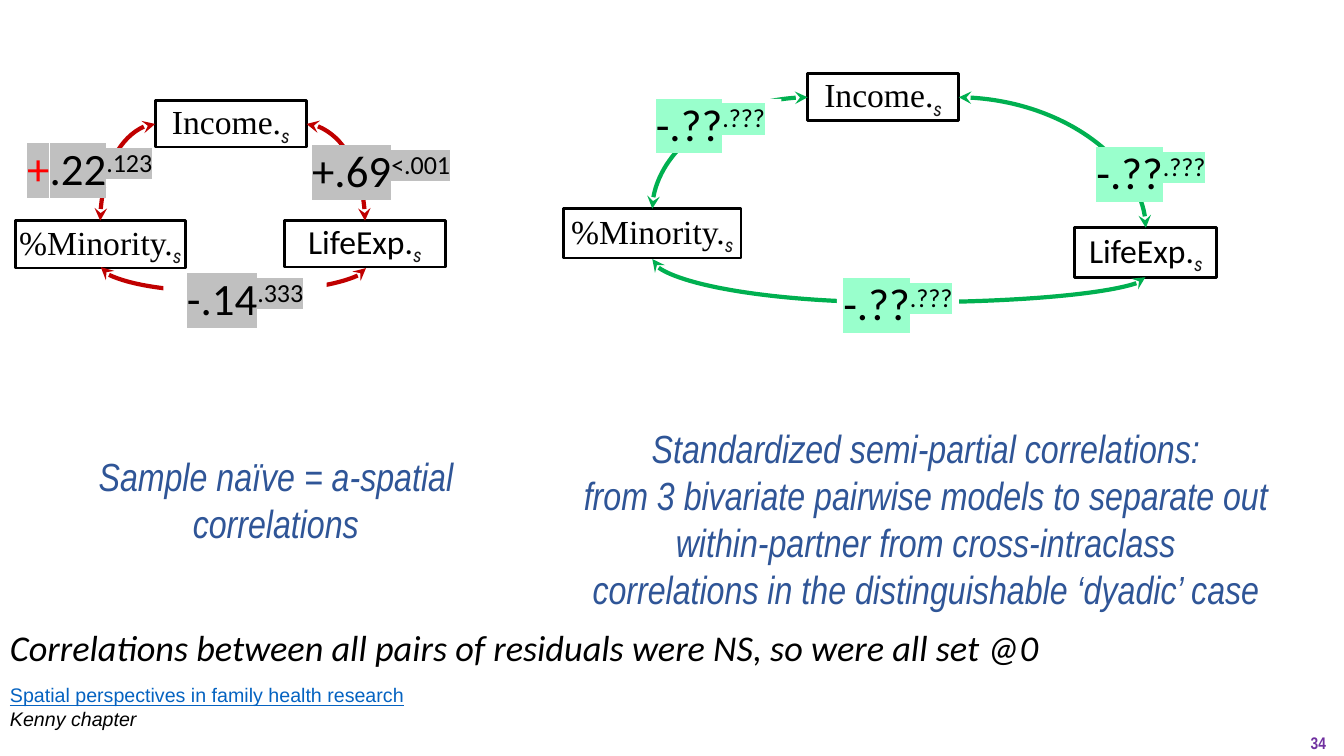
from dataclasses import dataclass

from pptx import Presentation
from pptx import util as u
from pptx.dml.color import RGBColor
from pptx.enum import shapes, text
from pptx.oxml import ns, xmlchemy


@dataclass(frozen=True)
class Theme:
    black: str = "000000"
    white: str = "FFFFFF"
    ink: str = "181717"
    red: str = "C00000"
    plus: str = "FF0000"
    green: str = "00B050"
    gray: str = "C0C0C0"
    mint: str = "99FFCC"
    blue: str = "2F5597"
    link: str = "0563C1"
    purple: str = "7030A0"
    serif: str = "Times New Roman"
    sans: str = "Calibri"
    narrow: str = "Arial Narrow"
    plain: str = "Arial"
    sub: str = "Roboto Condensed"
    node: float = 24
    value: float = 32
    caption: float = 28
    remark: float = 25.9
    source: float = 14
    page: float = 12


T = Theme()
CENTER, RIGHT = text.PP_ALIGN.CENTER, text.PP_ALIGN.RIGHT
LEFT_SIDE, RIGHT_SIDE, TOP_SIDE = 1, 3, 0


def rgb(color):
    return RGBColor.from_string(color)


def child(parent, tag, **attrs):
    node = xmlchemy.OxmlElement(tag)
    for key, value in attrs.items():
        node.set(key, value)
    parent.append(node)
    return node


def add_run(para, words, face, size, color, bold=False, italic=False,
            under=False, base=0, mark=None):
    """Add one run; base is the baseline shift in percent, mark the highlight."""
    run = para.add_run()
    run.text = words
    font = run.font
    font.name, font.size = face, u.Pt(size)
    font.bold, font.italic, font.underline = bold, italic, under
    font.color.rgb = rgb(color)
    props = run._r.get_or_add_rPr()
    if base:
        props.set("baseline", str(base * 1000))
    if mark:
        light = xmlchemy.OxmlElement("a:highlight")
        child(light, "a:srgbClr", val=mark)
        props.find(ns.qn("a:solidFill")).addnext(light)


def set_frame(shape, middle=False, wrap=True, inset=True):
    frame = shape.text_frame
    frame.word_wrap = wrap
    if middle:
        frame.vertical_anchor = text.MSO_ANCHOR.MIDDLE
    if not inset:
        frame.margin_left = frame.margin_right = 0
        frame.margin_top = frame.margin_bottom = 0
    return frame


def add_text(slide, at, lines, align=None, middle=False, inset=True):
    """Add a text box; each line is a (words, run format) pair."""
    box = slide.shapes.add_textbox(*map(u.Inches, at))
    frame = set_frame(box, middle, inset=inset)
    for i, (words, style) in enumerate(lines):
        para = frame.add_paragraph() if i else frame.paragraphs[0]
        para.alignment = align
        add_run(para, words, **style)
    return frame


def add_rect(slide, at, wrap):
    rect = slide.shapes.add_shape(shapes.MSO_SHAPE.RECTANGLE, *map(u.Inches, at))
    rect.shadow.inherit = False
    para = set_frame(rect, True, wrap, False).paragraphs[0]
    para.alignment = CENTER
    return rect, para


def add_node(slide, at, name, face):
    rect, para = add_rect(slide, at, False)
    rect.fill.background()
    rect.line.color.rgb = rgb(T.black)
    rect.line.width = u.Pt(2)
    add_run(para, name + ".", face, T.node, T.black)
    add_run(para, "s", T.sub, T.node, T.ink, italic=True, base=-25)
    return rect


def add_value(slide, at, value, power, mark):
    rect, para = add_rect(slide, at, True)
    rect.fill.solid()
    rect.fill.fore_color.rgb = rgb(T.white)
    rect.line.fill.background()
    if value[0] == "+" and power == ".123":
        add_run(para, "+", T.sans, T.value, T.plus, mark=mark)
        value = value[1:]
    add_run(para, value, T.sans, T.value, T.black, mark=mark)
    add_run(para, power, T.sans, T.value, T.black, base=30, mark=mark)


def add_curve(slide, start, end, color):
    curve = slide.shapes.add_connector(
        shapes.MSO_CONNECTOR.CURVE, *map(u.Inches, start + end))
    curve.line.color.rgb = rgb(color)
    curve.line.width = u.Pt(3)
    line = curve.line._get_or_add_ln()
    for tip in ("a:headEnd", "a:tailEnd"):
        child(line, tip, type="stealth")
    child(curve._element.spPr, "a:effectLst")
    return curve, curve._element.spPr.find(ns.qn("a:prstGeom"))


def add_arc(slide, top, side, low, color):
    """Quarter curve from a side of the top node to the top of a lower one."""
    curve, geom = add_curve(slide, (0, 0), (1, 1), color)
    geom.set("prst", "curvedConnector2")
    curve.begin_connect(top, side)
    curve.end_connect(low, TOP_SIDE)


def add_sag(slide, start, end, depth, color):
    """Curve hanging depth below its start; a rightward one must end lower."""
    (x1, y1), (x2, y2) = start, end
    wide, high = abs(y2 - y1), abs(x2 - x1)
    left, top = (x1 + x2 - wide) / 2, (y1 + y2 - high) / 2
    curve, geom = add_curve(
        slide, (left, top), (left + wide, top + high), color)
    right = x2 > x1
    frame = curve._element.spPr.find(ns.qn("a:xfrm"))
    frame.set("rot", str((270 if right else 90) * 60000))
    frame.set("flipH", "1")
    bend = round((depth if right else -depth) / wide * 100000)
    guides = geom.find(ns.qn("a:avLst"))
    child(guides, "a:gd", name="adj1", fmla=f"val {bend}")


def add_model(slide, places, sag, values, color, mark):
    """Draw three linked nodes (minority, income, life) and their values."""
    names = (("%Minority", T.serif), ("Income", T.serif), ("LifeExp", T.sans))
    minor, income, life = [
        add_node(slide, at, *name) for at, name in zip(places, names)]
    add_arc(slide, income, LEFT_SIDE, minor, color)
    add_arc(slide, income, RIGHT_SIDE, life, color)
    add_sag(slide, *sag, 0.25, color)
    for at, value, power in values:
        add_value(slide, at, value, power, mark)


def main():
    deck = Presentation()
    deck.slide_width, deck.slide_height = u.Inches(13.33), u.Inches(7.5)
    slide = deck.slides.add_slide(deck.slide_layouts[6])

    add_model(
        slide,
        [(0.15, 2.19, 1.69, 0.47), (1.54, 1, 1.5, 0.46), (2.82, 2.19, 1.6, 0.46)],
        [(1, 2.65), (3.63, 2.66)],
        [((2.97, 1.49, 1.62, 0.39), "+.69", "<.001"),
         ((0.08, 1.47, 1.62, 0.39), "+.22", ".123"),
         ((1.62, 2.76, 1.62, 0.39), "-.14", ".333")],
        T.red, T.gray)
    add_model(
        slide,
        [(5.59, 2.07, 1.76, 0.49), (8.01, 0.73, 1.5, 0.47),
         (10.66, 2.26, 1.41, 0.49)],
        [(11.36, 2.75), (6.47, 2.57)],
        [(at, "-.??", ".???") for at in (
            (10.71, 1.46, 1.41, 0.49), (8.3, 2.72, 1.21, 0.57),
            (6.34, 0.98, 1.41, 0.49))],
        T.green, T.mint)

    caption = dict(face=T.narrow, size=T.caption, color=T.blue, italic=True)
    add_text(slide, (0.83, 4.49, 3.81, 1.07),
             [("Sample naïve = a-spatial correlations", caption)],
             CENTER, inset=False)
    claims = (
        "Standardized semi-partial correlations:",
        "from 3 bivariate pairwise models to separate out "
        "within-partner from cross-intraclass",
        "correlations in the distinguishable ‘dyadic’ case")
    add_text(slide, (5.42, 4.21, 7.52, 2.14),
             [(claim, caption) for claim in claims], CENTER, inset=False)

    remark = dict(face=T.sans, size=T.remark, color=T.black, italic=True)
    frame = add_text(
        slide, (0, 6.24, 11.22, 0.48),
        [("Correlations between all pairs of residuals were NS, "
          "so were all set @0", remark)])
    frame.paragraphs[0].line_spacing = 0.8

    source = dict(face=T.plain, size=T.source)
    add_text(slide, (0, 6.73, 13.11, 0.57), [
        ("Spatial perspectives in family health research",
         dict(source, color=T.link, under=True)),
        ("Kenny chapter", dict(source, color=T.black, italic=True))])
    page = dict(face=T.narrow, size=T.page, color=T.purple, bold=True)
    add_text(slide, (12.77, 7.25, 0.48, 0.23), [("34", page)], RIGHT, True)

    deck.save("out.pptx")


if __name__ == "__main__":
    main()
